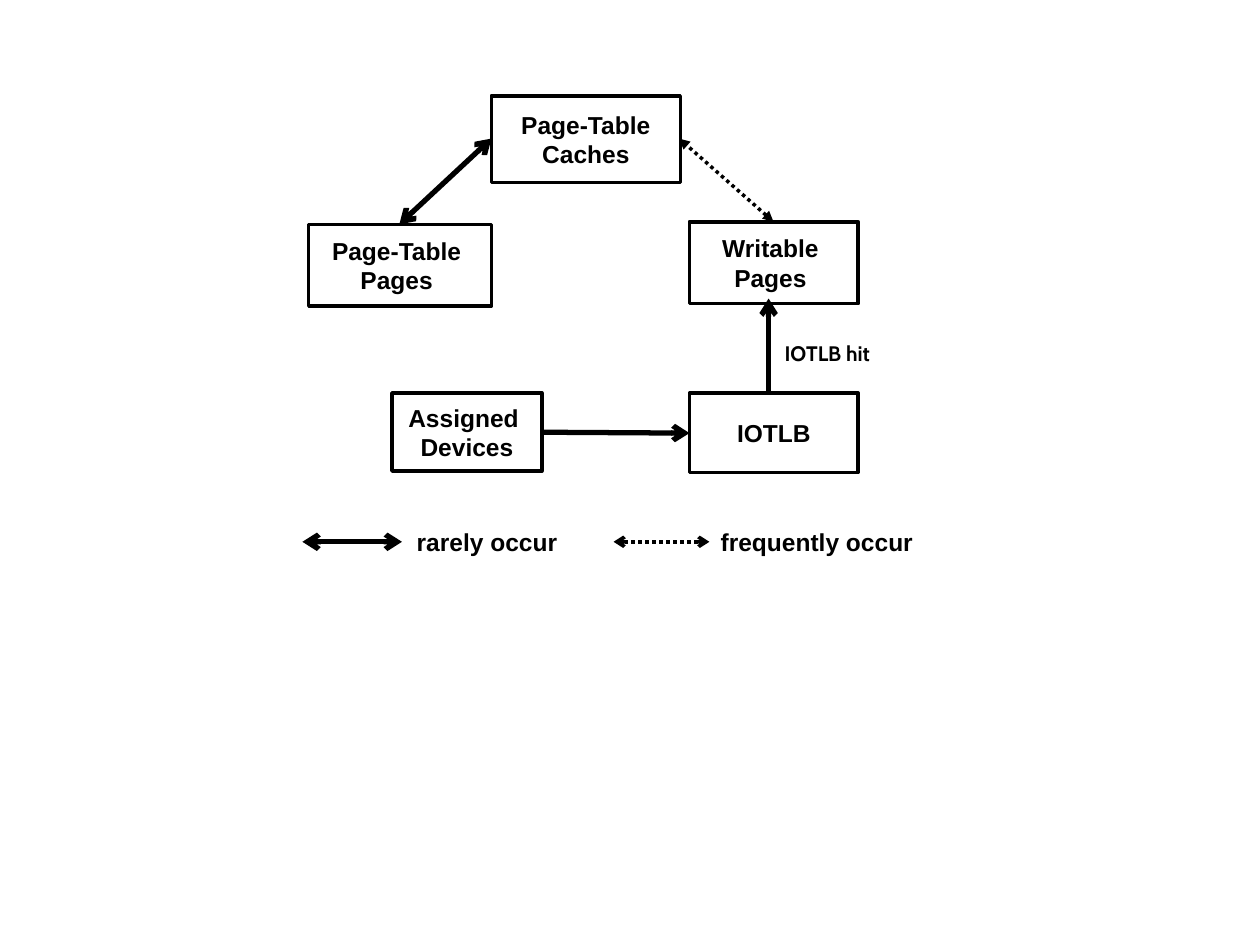
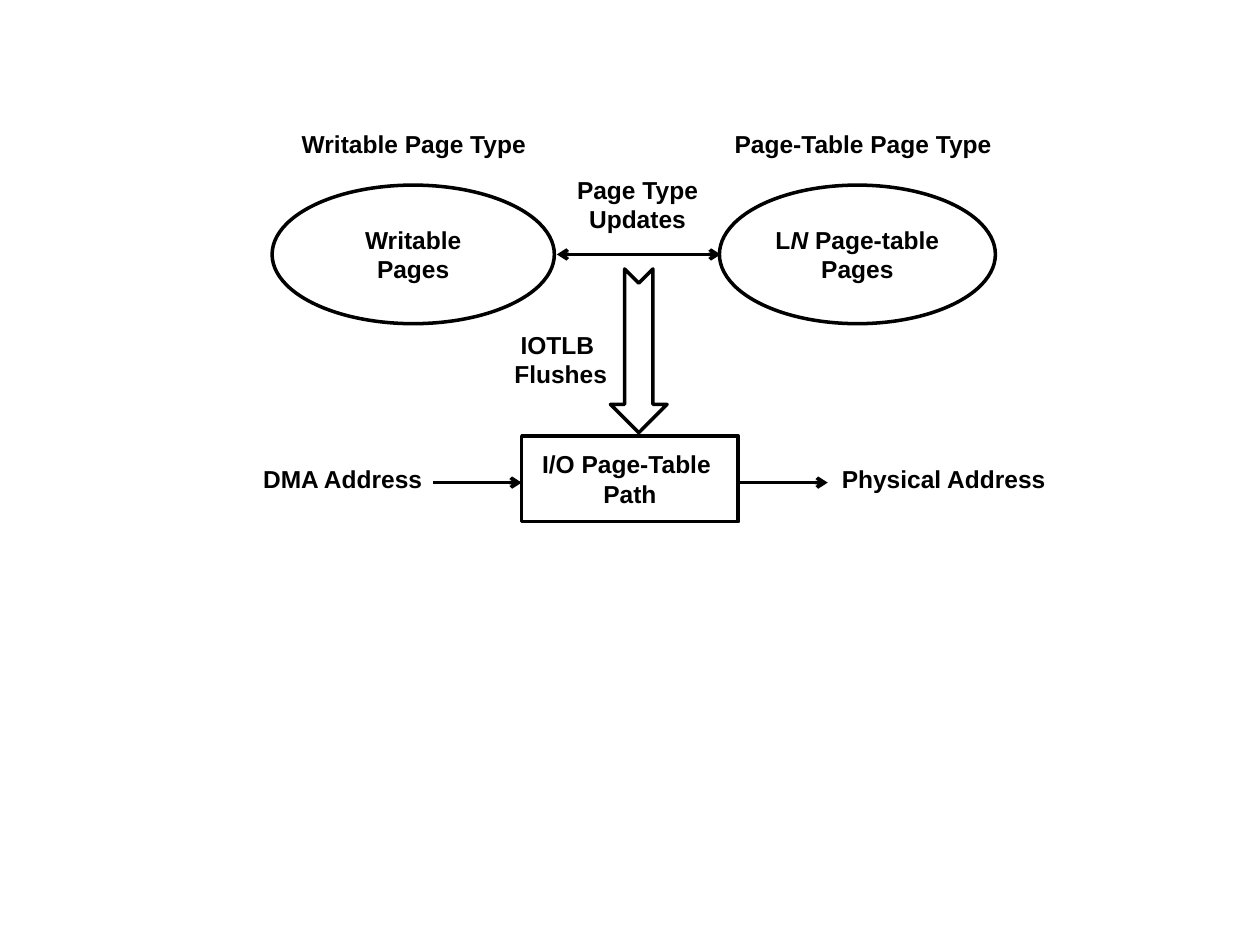
"""Draws the page-type and IOTLB diagrams of a two-slide deck."""
from lxml import etree
from pptx import Presentation
from pptx.dml.color import RGBColor
from pptx.enum.dml import MSO_LINE
from pptx.enum.shapes import MSO_CONNECTOR, MSO_SHAPE
from pptx.enum.text import MSO_ANCHOR, PP_ALIGN
from pptx.oxml.ns import qn
from pptx.util import Pt

BLACK = RGBColor(0, 0, 0)
WHITE = RGBColor(255, 255, 255)
RECTANGLE = MSO_SHAPE.RECTANGLE
ELLIPSE = MSO_SHAPE.OVAL
NOTCHED_ARROW = MSO_SHAPE.NOTCHED_RIGHT_ARROW
STRAIGHT = MSO_CONNECTOR.STRAIGHT
DOTTED = MSO_LINE.ROUND_DOT
MIDDLE = MSO_ANCHOR.MIDDLE
CENTER, LEFT = PP_ALIGN.CENTER, PP_ALIGN.LEFT
FONT, LABEL_FONT = "Arial", "Cabin"
THIN, THICK = 2, 3


def write_text(box, lines, align=CENTER, font=FONT, size=14):
    """Write one bold paragraph per line; parts between underscores are italic."""
    frame = box.text_frame
    frame.word_wrap = True
    frame.vertical_anchor = MIDDLE
    for number, line in enumerate(lines):
        para = frame.add_paragraph() if number else frame.paragraphs[0]
        para.alignment = align
        for index, part in enumerate(line.split("_")):
            span = para.add_run()
            span.text = part
            span.font.name = font
            span.font.size = Pt(size)
            span.font.bold = True
            span.font.italic = index % 2 == 1
            span.font.color.rgb = BLACK


def add_label(page, bounds, *lines, **style):
    """Add a text box that has no outline."""
    box = page.shapes.add_textbox(*map(Pt, bounds))
    write_text(box, lines, **style)


def add_node(page, kind, bounds, *lines, fill=None):
    """Add an outlined shape with centred text and return it."""
    node = page.shapes.add_shape(kind, *map(Pt, bounds))
    node.shadow.inherit = False
    if fill is None:
        node.fill.background()
    else:
        node.fill.solid()
        node.fill.fore_color.rgb = fill
    node.line.color.rgb = BLACK
    node.line.width = Pt(THIN)
    write_text(node, lines)
    return node


def add_arrow(page, start, end, width=THIN, head=None, tail="arrow", dash=None):
    """Add a straight line with arrowheads at its start and end."""
    arrow = page.shapes.add_connector(STRAIGHT, *map(Pt, (*start, *end)))
    arrow.line.color.rgb = BLACK
    arrow.line.width = Pt(width)
    if dash is not None:
        arrow.line.dash_style = dash
    properties = arrow.element.spPr
    outline = properties.find(qn("a:ln"))
    for tag, ending in (("a:headEnd", head), ("a:tailEnd", tail)):
        if ending:
            etree.SubElement(outline, qn(tag), type=ending)
    etree.SubElement(properties, qn("a:effectLst"))


def draw_cache_page(page):
    """Draw how caches, pages, devices and the IOTLB are related."""
    add_node(page, RECTANGLE, (394, 126.7, 96.5, 46.8), "Writable ", "Pages ")
    add_node(page, RECTANGLE, (280.8, 54.7, 108, 49.7), "Page-Table", "Caches")
    add_node(page, RECTANGLE, (176.4, 128.2, 104.4, 46.8), "Page-Table ", "Pages ")
    add_node(page, RECTANGLE, (224, 224.6, 85.7, 44.6), "Assigned ", "Devices")
    add_node(page, RECTANGLE, (394, 224.6, 96.5, 45.4), "IOTLB")
    add_label(page, (433.5, 179.3, 78.5, 44.6), "IOTLB hit", font=LABEL_FONT, size=12)

    add_arrow(page, (442, 126.7), (388.1, 79.2), head="triangle", tail="triangle", dash=DOTTED)
    add_arrow(page, (280.8, 79.2), (228.2, 128.2), THICK, head="arrow")
    add_arrow(page, (309.6, 247), (394, 247.5), THICK)
    add_arrow(page, (439.2, 224.6), (439.2, 170.6), THICK)

    legend_y = 309.6
    add_arrow(page, (229.7, legend_y), (172.8, legend_y), THICK, head="arrow")
    add_arrow(page, (405.4, legend_y), (350.6, legend_y), head="arrow", dash=DOTTED)
    for left, meaning in ((231, "rarely occur"), (404.7, "frequently occur")):
        add_label(page, (left, legend_y - 12, 140, 24), meaning, align=LEFT)


def draw_update_page(page):
    """Draw how page type updates lead to IOTLB flushes."""
    ellipse_top, ellipse_height = 105.8, 79.2
    add_node(page, ELLIPSE, (411.1, ellipse_top, 157.7, ellipse_height),
             "L_N_ Page-table ", "Pages", fill=WHITE)
    add_node(page, ELLIPSE, (155.5, ellipse_top, 161.3, ellipse_height),
             "Writable Pages", fill=WHITE)
    update_y = ellipse_top + ellipse_height / 2
    add_arrow(page, (318.2, update_y), (411.8, update_y), head="arrow")
    for center, title in ((236.5, "Writable Page Type"), (493.2, "Page-Table Page Type")):
        add_label(page, (center - 120, 70, 240, 24), title)

    flush = add_node(page, NOTCHED_ARROW, (318.2, 184.3, 93.6, 32.4))
    flush.rotation = 90
    add_label(page, (301.7, 92.2, 125.3, 49), "Page Type", "Updates")
    add_label(page, (257.8, 180.7, 125.3, 49), "IOTLB ", "Flushes")

    row_top, row_height, flow_y = 249.1, 49, 275.8
    add_label(page, (133.2, row_top, 125.3, row_height), "DMA Address")
    add_node(page, RECTANGLE, (298.1, row_top, 123.8, row_height), "I/O Page-Table ", "Path")
    add_label(page, (456.5, row_top, 165.6, row_height), "Physical Address")
    add_arrow(page, (247.7, flow_y), (298.1, flow_y))
    add_arrow(page, (421.9, flow_y), (473, flow_y))


def main():
    """Build both slides and save the deck."""
    deck = Presentation()
    deck.slide_width, deck.slide_height = Pt(720), Pt(540)
    blank = deck.slide_layouts[6]
    for draw in (draw_cache_page, draw_update_page):
        draw(deck.slides.add_slide(blank))
    deck.save("out.pptx")


if __name__ == "__main__":
    main()
